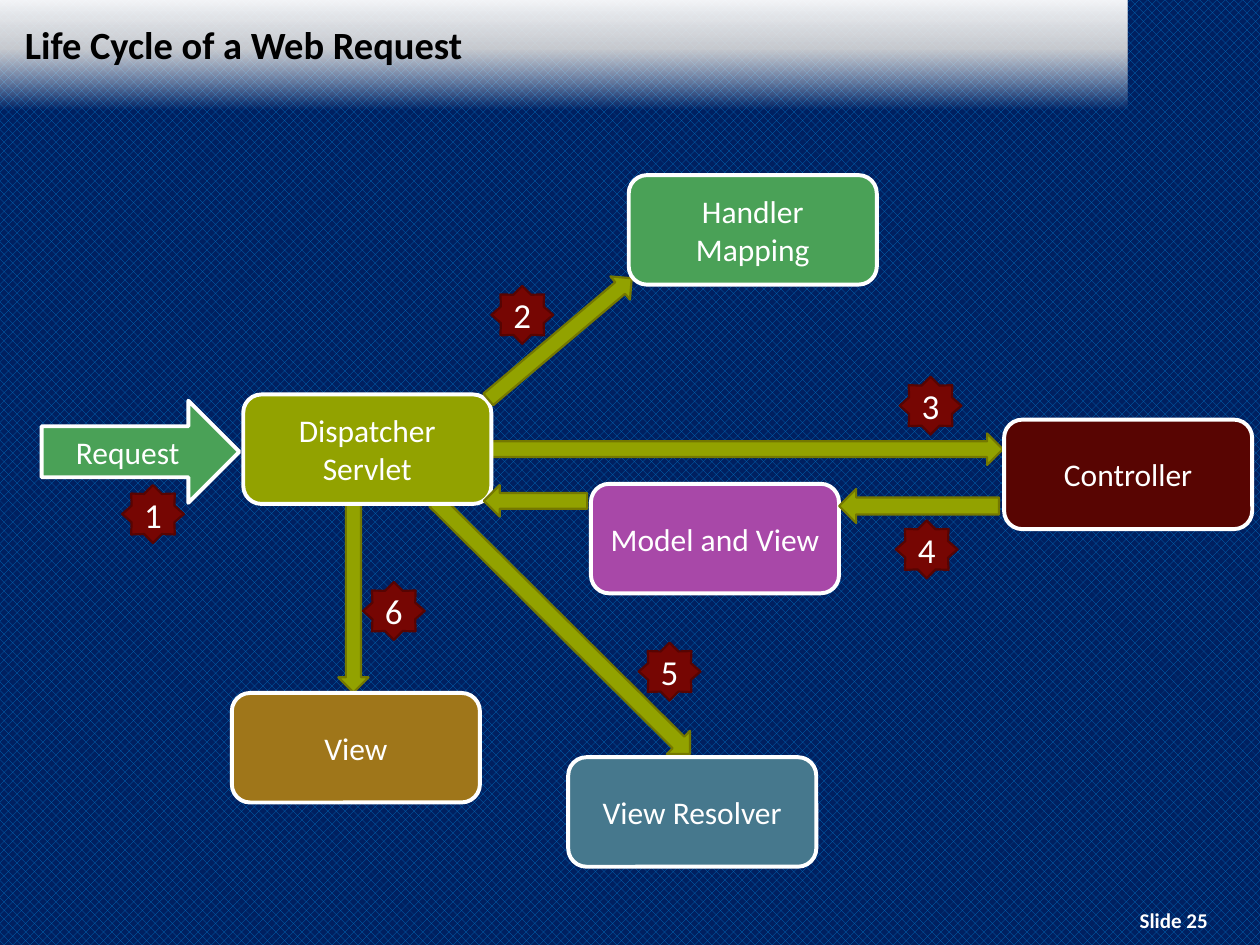
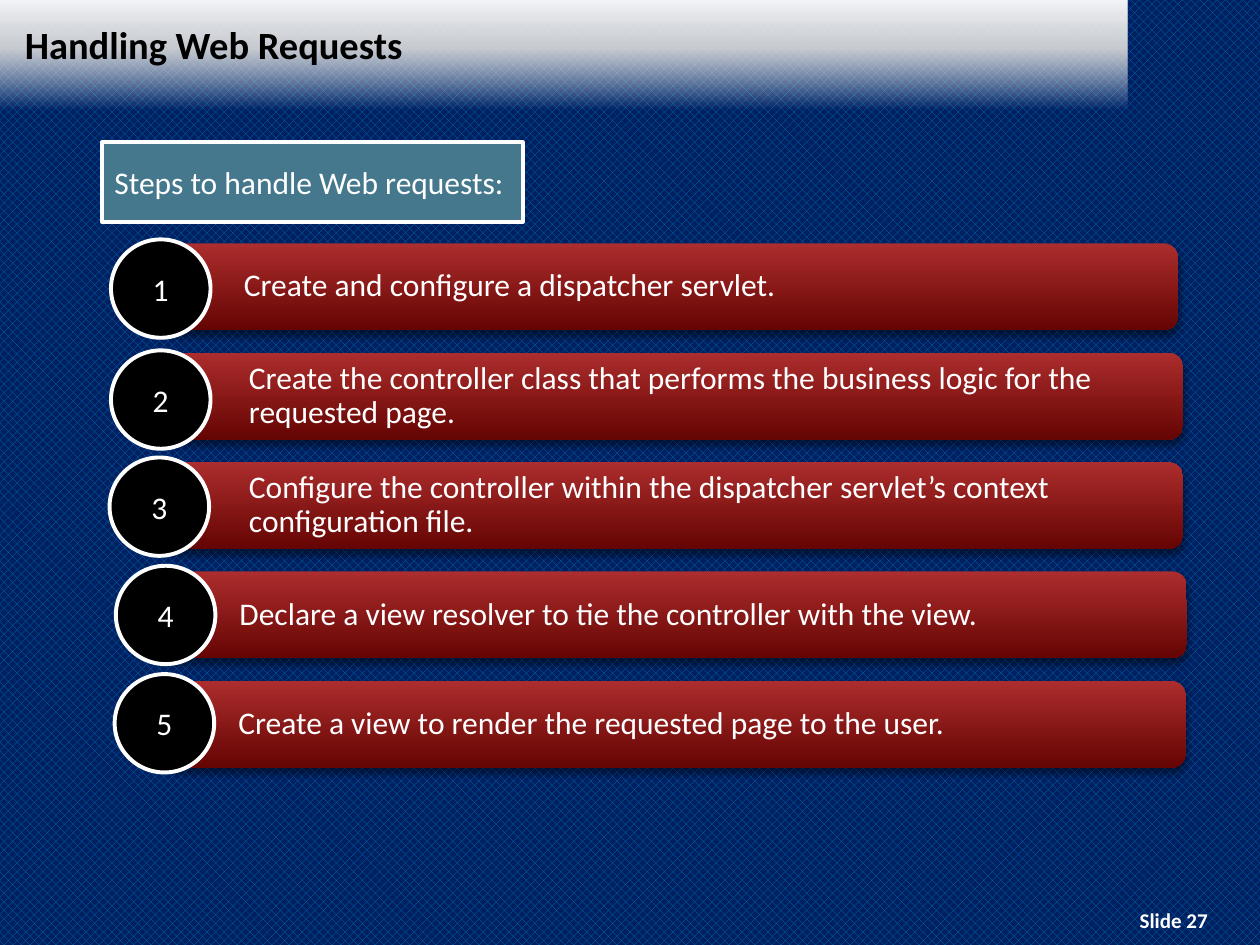
import pptx
import pptx.dml.color
import pptx.enum.dml
import pptx.enum.shapes
import pptx.enum.text
import pptx.oxml
import pptx.util
from lxml import etree

Pt = pptx.util.Pt
MSO = pptx.enum.shapes.MSO_SHAPE
ALIGN = pptx.enum.text.PP_ALIGN
MIDDLE = pptx.enum.text.MSO_ANCHOR.MIDDLE
PATTERN = pptx.enum.dml.MSO_PATTERN.PERCENT_50
A = "http://schemas.openxmlformats.org/drawingml/2006/main"

WHITE, BLACK, TEAL, OLIVE, GREEN = "FFFFFF", "000000", "46788D", "92A200", "4AA157"


def rgb(value):
    return pptx.dml.color.RGBColor.from_string(value)


def add_item(s, kind, box, text="", size=18, color=WHITE, fill=None, line=None,
             line_width=2.25, align=ALIGN.CENTER, bold=False):
    """Add a preset shape, or a text box when kind is None, with one paragraph."""
    box = [Pt(v) for v in box]
    if kind is None:
        sp = s.shapes.add_textbox(*box)
    else:
        sp = s.shapes.add_shape(kind, *box)
        sp.shadow.inherit = False
        if fill:
            sp.fill.solid()
            sp.fill.fore_color.rgb = rgb(fill)
        if line:
            sp.line.color.rgb = rgb(line)
            sp.line.width = Pt(line_width)
        else:
            sp.line.fill.background()
    if text:
        tf = sp.text_frame
        tf.word_wrap = True
        tf.vertical_anchor = MIDDLE
        p = tf.paragraphs[0]
        p.text = text
        p.alignment = align
        p.font.name = "Calibri"
        p.font.size = Pt(size)
        p.font.bold = bold
        p.font.color.rgb = rgb(color)
    return sp


prs = pptx.Presentation()
prs.slide_width, prs.slide_height = Pt(720), Pt(540)

# Background, title band, title and slide number
slides = []
for title, number in [("Life Cycle of a Web Request", 25), ("Handling Web Requests", 27)]:
    s = prs.slides.add_slide(prs.slide_layouts[6])
    bg = s.background.fill
    bg.patterned()
    bg.pattern = PATTERN
    bg.fore_color.rgb = rgb("0070C0")
    bg.back_color.rgb = rgb("002060")

    band = add_item(s, MSO.RECTANGLE, (0, -0.7, 644.4, 63.4))
    band.fill.gradient()
    band.fill.gradient_angle = 90
    stops = band._element.spPr.find(f".//{{{A}}}gsLst")
    for stop in list(stops):
        stops.remove(stop)
    for pos, color, opacity in [(0, WHITE, 0), (54, "D9D9D9", 90), (100, WHITE, 95)]:
        stops.append(pptx.oxml.parse_xml(
            f'<a:gs xmlns:a="{A}" pos="{pos * 1000}"><a:srgbClr val="{color}">'
            f'<a:alpha val="{opacity * 1000}"/></a:srgbClr></a:gs>'))

    add_item(s, None, (628.6, 514.8, 84.2, 21.6), f"Slide {number}", size=12, bold=True)
    add_item(s, None, (7.2, 6.5, 631.4, 37.4), title, size=22, color=BLACK,
             align=ALIGN.LEFT, bold=True)
    slides.append(s)

life_cycle, handling = slides

# Request flow, from back to front: label, left, top, width, height, rotation, fill
BOX = (141.8, 62.6)
flow = [
    ("", 280.8, 247.7, 292.3, 18, 0, OLIVE),
    ("", 148.3, 333.4, 107.3, 17.3, 90, OLIVE),
    ("", 218.9, 349.2, 205.2, 18.7, 44.8, OLIVE),
    ("Request", 23.8, 229, 113, 58.3, 0, GREEN),
    ("Dispatcher Servlet", 139, 225.4, *BOX, 0, OLIVE),
    ("", 266.4, 185, 107.3, 17.3, 319.8, OLIVE),
    ("Handler Mapping", 359.3, 100.1, *BOX, 0, GREEN),
    ("Controller", 573.8, 239.8, *BOX, 0, "580502"),
    ("Model and View", 337.7, 276.5, *BOX, 0, "A848A8"),
    ("", 479.5, 279.4, 91.4, 19.4, 180, OLIVE),
    ("", 276.5, 277.2, 59, 18, 180, OLIVE),
    ("View Resolver", 324.7, 432.7, *BOX, 0, TEAL),
    ("View", 132.5, 396, *BOX, 0, "9F761A"),
]
for label, left, top, width, height, rotation, fill in flow:
    kind = MSO.ROUNDED_RECTANGLE if (width, height) == BOX else MSO.RIGHT_ARROW
    line, line_width = (WHITE, 2.25) if label else ("747800", 1.25)
    sp = add_item(life_cycle, kind, (left, top, width, height), label, fill=fill,
                  line=line, line_width=line_width)
    sp.rotation = rotation

badges = [(69.8, 277.2), (280.8, 163.4), (514.1, 215.3), (511.9, 297.4),
          (365, 367.2), (207.4, 332.6)]
for n, (left, top) in enumerate(badges, 1):
    add_item(life_cycle, MSO.STAR_8_POINT, (left, top, 35.3, 33.1), str(n), size=20,
             fill="760603", line="570402", line_width=1.25)

# Numbered steps: bar left, text indent, circle left, circle top, text
add_item(handling, MSO.RECTANGLE, (58.3, 81.4, 240.5, 45.4), "Steps to handle Web requests:",
         fill=TEAL, line=WHITE, align=ALIGN.LEFT)
steps = [
    (90, 47, 63.4, 136.8, "Create and configure a dispatcher servlet."),
    (92.9, 47, 63.4, 200.2,
     "Create the controller class that performs the business logic for the\vrequested page."),
    (92.9, 47, 62.6, 261.4,
     "Configure the controller within the dispatcher servlet’s context\vconfiguration file."),
    (95, 39.5, 66.2, 323.3, "Declare a view resolver to tie the controller with the view."),
    (94.3, 39.5, 65.5, 385.2, "Create a view to render the requested page to the user."),
]
for i, (left, indent, circle_left, circle_top, text) in enumerate(steps):
    bar = add_item(handling, MSO.ROUNDED_RECTANGLE, (left, 139 + 62.5 * i, 583.2, 49.7),
                   text, align=ALIGN.LEFT)
    bar.text_frame.margin_left = Pt(indent)
    bar.text_frame.margin_right = 0
    bar.text_frame.paragraphs[0].line_spacing = 0.9
    bar.fill.gradient()
    bar.fill.gradient_angle = 270
    for stop, color in zip(bar.fill.gradient_stops, ("AC2D2D", "650503")):
        stop.color.rgb = rgb(color)
    shadow = etree.SubElement(bar._element.spPr.find(f"{{{A}}}effectLst"), f"{{{A}}}outerShdw",
                              blurRad=str(Pt(4)), dist=str(Pt(3)), dir="5400000", rotWithShape="0")
    shadow_color = etree.SubElement(shadow, f"{{{A}}}srgbClr", val=BLACK)
    etree.SubElement(shadow_color, f"{{{A}}}alpha", val="46000")
    add_item(handling, MSO.OVAL, (circle_left, circle_top, 56.9, 56.2), str(i + 1),
             fill=BLACK, line=WHITE)

prs.save("out.pptx")
